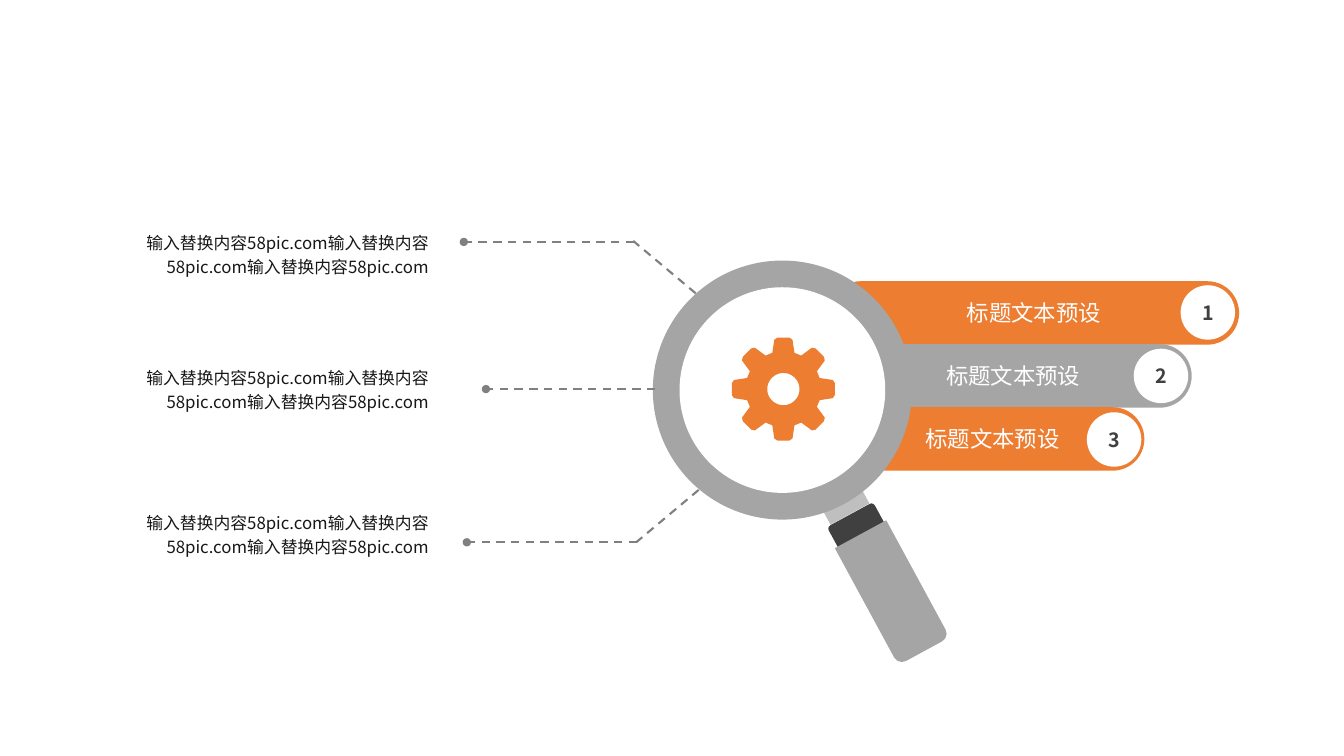
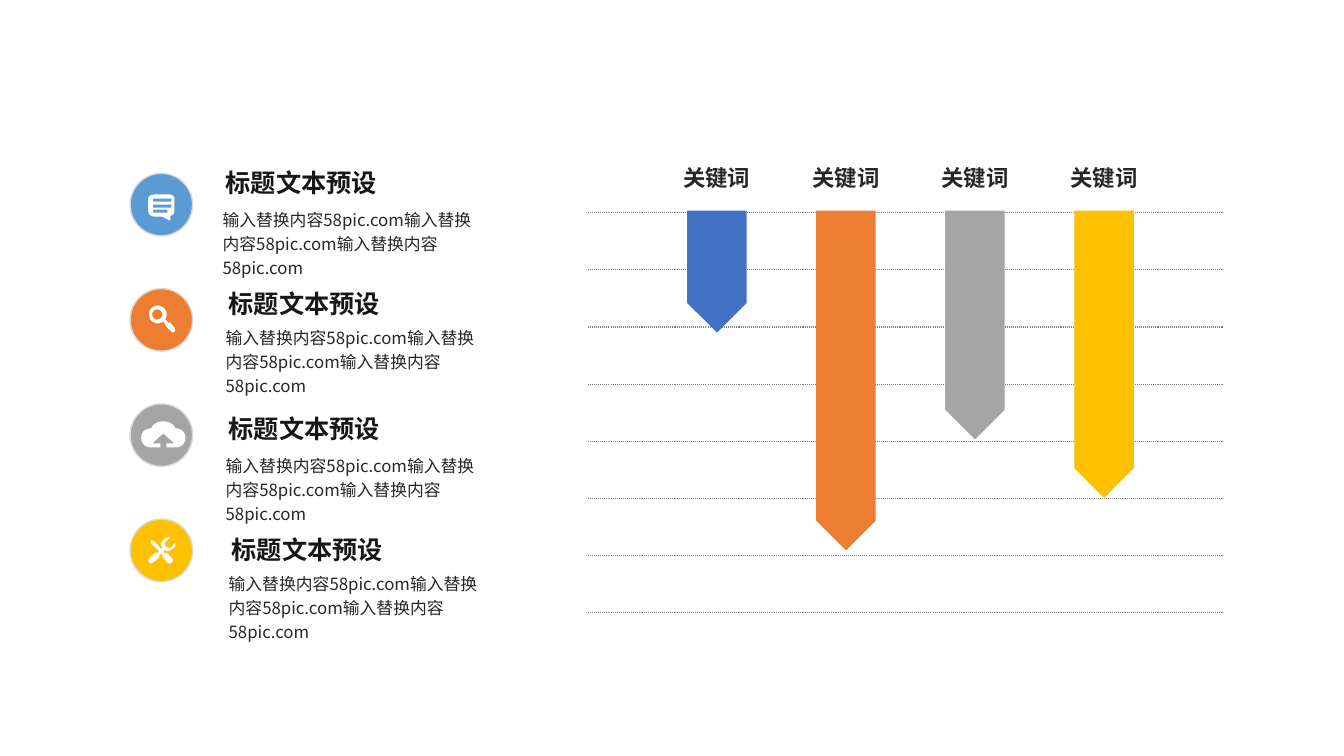
from math import cos, pi, sin

from lxml import etree
from pptx import Presentation
from pptx.dml.color import RGBColor
from pptx.enum import dml, shapes, text
from pptx.oxml.ns import qn
from pptx.util import Inches, Pt

FONT = "Noto Sans CJK SC"
ORANGE, GRAY, YELLOW, BLUE, SKY = "ED7D31", "A5A5A5", "FFC000", "4472C4", "5B9BD5"
WHITE, RULE, CHARCOAL, INK, BODY = "FFFFFF", "808080", "404040", "181717", "262626"
SHAPE = shapes.MSO_SHAPE
RIGHT, CENTER = text.PP_ALIGN.RIGHT, text.PP_ALIGN.CENTER

HEADING = "标题文本预设"
KEYWORD = "关键词"
FILLER = "输入替换内容58pic.com" * 3

TAB_COLORS = [ORANGE, GRAY, ORANGE]
NOTE_TOPS = [2.22, 3.56, 5]
LENS_CENTER = (7.76, 3.87)
LENS_DISCS = [(2.57, GRAY), (2.04, WHITE)]
HANDLE_TURN = 331.5
COLLAR = (SHAPE.RECTANGLE, (8.17, 4.94, 0.44, 0.17), "BFBFBF", ())
GRIP_PARTS = [
    (SHAPE.ROUND_2_SAME_RECTANGLE, (8.23, 5.09, 0.52, 0.25), CHARCOAL, (0.15, 0)),
    (SHAPE.ROUND_2_SAME_RECTANGLE, (8.56, 5.22, 0.58, 1.32), GRAY, (0, 0.15)),
]
LEADERS = [
    ((6.9, 2.91), (6.28, 2.39), None),
    ((6.29, 2.4), (4.6, 2.4), "oval"),
    ((6.5, 3.86), (4.82, 3.86), "oval"),
    ((6.93, 4.86), (6.31, 5.38), None),
    ((6.32, 5.38), (4.63, 5.38), "oval"),
]
GEAR_CENTER = (7.77, 3.86)
GEAR_TOOTH = [(-0.11, -0.36), (-0.09, -0.49), (-0.06, -0.51),
              (0.06, -0.51), (0.09, -0.49), (0.11, -0.36)]

ARROWS = [(BLUE, 1.21), (ORANGE, 3.37), (GRAY, 2.27), (YELLOW, 2.85)]


def circle(cx, cy, radius, steps=48):
    return [(cx + radius * cos(2 * pi * k / steps), cy + radius * sin(2 * pi * k / steps))
            for k in range(steps)]


def box(left, top, right, bottom):
    return [(left, top), (right, top), (right, bottom), (left, bottom)]


CHAT = [
    [(1.68, 1.93), (1.53, 1.93), (1.5, 1.93, 1.47, 1.95, 1.47, 1.97), (1.47, 2.1),
     (1.47, 2.12, 1.5, 2.15, 1.53, 2.15), (1.61, 2.15), (1.69, 2.19), (1.69, 2.14),
     (1.71, 2.14, 1.73, 2.12, 1.73, 2.1), (1.73, 1.97), (1.73, 1.95, 1.71, 1.93, 1.68, 1.93)],
    box(1.52, 1.97, 1.7, 2), box(1.52, 2.03, 1.7, 2.06), box(1.52, 2.08, 1.66, 2.11),
]
SEARCH = [
    [(1.73, 3.25), (1.69, 3.2), (1.67, 3.2), (1.64, 3.17),
     (1.66, 3.13, 1.66, 3.09, 1.63, 3.06), (1.59, 3.02, 1.54, 3.02, 1.5, 3.06),
     (1.47, 3.09, 1.47, 3.15, 1.5, 3.18), (1.53, 3.21, 1.58, 3.22, 1.62, 3.19),
     (1.64, 3.22), (1.65, 3.24), (1.7, 3.29), (1.71, 3.3, 1.72, 3.3, 1.73, 3.29),
     (1.74, 3.28, 1.74, 3.26, 1.73, 3.25)],
    circle(1.56, 3.12, 0.05),
]
UPLOAD = [
    [(1.74, 4.25), (1.72, 4.2, 1.67, 4.18, 1.62, 4.18), (1.57, 4.18, 1.52, 4.2, 1.5, 4.25),
     (1.44, 4.25, 1.4, 4.29, 1.4, 4.34), (1.4, 4.4, 1.44, 4.44, 1.5, 4.44), (1.59, 4.44),
     (1.59, 4.4), (1.51, 4.4), (1.62, 4.3), (1.73, 4.4), (1.65, 4.4), (1.65, 4.44),
     (1.74, 4.44), (1.8, 4.44, 1.84, 4.4, 1.84, 4.34), (1.84, 4.29, 1.8, 4.25, 1.74, 4.25)],
]
TOOLS = [
    [(1.64, 5.46), (1.65, 5.47, 1.68, 5.47, 1.69, 5.46), (1.73, 5.43),
     (1.74, 5.42, 1.74, 5.4, 1.74, 5.39), (1.73, 5.39), (1.7, 5.43),
     (1.68, 5.44, 1.66, 5.44, 1.65, 5.42), (1.63, 5.41, 1.63, 5.38, 1.65, 5.37),
     (1.68, 5.34), (1.69, 5.33), (1.67, 5.33, 1.65, 5.33, 1.64, 5.34), (1.61, 5.37),
     (1.59, 5.38, 1.59, 5.41, 1.61, 5.43), (1.6, 5.45), (1.53, 5.37), (1.5, 5.36),
     (1.5, 5.39), (1.58, 5.47), (1.56, 5.49), (1.55, 5.48, 1.54, 5.48, 1.53, 5.49),
     (1.48, 5.54), (1.47, 5.55, 1.47, 5.57, 1.48, 5.58),
     (1.49, 5.59, 1.51, 5.59, 1.52, 5.58), (1.57, 5.54),
     (1.58, 5.53, 1.58, 5.52, 1.58, 5.51), (1.6, 5.49), (1.61, 5.51),
     (1.61, 5.52, 1.61, 5.53, 1.62, 5.53), (1.66, 5.58),
     (1.67, 5.59, 1.69, 5.6, 1.7, 5.58), (1.72, 5.57, 1.72, 5.55, 1.71, 5.54),
     (1.66, 5.49), (1.65, 5.49, 1.64, 5.48, 1.63, 5.49), (1.62, 5.47), (1.63, 5.46)],
]
TOPICS = [
    (SKY, CHAT, 2.11, 1.61, 1.99),
    (ORANGE, SEARCH, 2.14, 2.81, 3.16),
    (GRAY, UPLOAD, 2.14, 4.05, 4.43),
    (YELLOW, TOOLS, 2.17, 5.25, 5.6),
]


def rgb(value):
    return RGBColor.from_string(value)


def write(frame, words, size=12, color=BODY, bold=False, align=None, spacing=None,
          wrap=True, anchor=text.MSO_ANCHOR.TOP):
    frame.word_wrap = wrap
    frame.vertical_anchor = anchor
    line = frame.paragraphs[0]
    line.alignment = align
    line.line_spacing = spacing
    run = line.add_run()
    run.text = words
    run.font.size = Pt(size)
    run.font.bold = bold
    run.font.color.rgb = rgb(color)
    run.font.name = FONT
    etree.SubElement(run.font._element, qn("a:ea"), typeface=FONT)


def add_text(slide, area, words, **style):
    write(slide.shapes.add_textbox(*map(Inches, area)).text_frame, words, **style)


def paint(shape, fill, outline=None):
    shape.shadow.inherit = False
    shape.fill.solid()
    shape.fill.fore_color.rgb = rgb(fill)
    if outline:
        shape.line.color.rgb = rgb(outline)
        shape.line.width = Pt(1)
    else:
        shape.line.fill.background()


def add_preset(slide, kind, area, fill, outline=None, turn=0, adjust=(), words="", **style):
    shape = slide.shapes.add_shape(kind, *map(Inches, area))
    paint(shape, fill, outline)
    shape.rotation = turn
    for index, value in enumerate(adjust):
        shape.adjustments[index] = value
    if words:
        write(shape.text_frame, words, align=CENTER, wrap=False,
              anchor=text.MSO_ANCHOR.MIDDLE, **style)


def add_line(slide, start, end, width, dash, tail=None):
    line = slide.shapes.add_connector(shapes.MSO_CONNECTOR.STRAIGHT,
                                      *map(Inches, start + end))
    line.line.color.rgb = rgb(RULE)
    line.line.width = Pt(width)
    line.line.dash_style = dash
    if tail:
        etree.SubElement(line.line._get_or_add_ln(), qn("a:tailEnd"), type=tail)
    etree.SubElement(line._element.spPr, qn("a:effectLst"))


def flatten(contour, steps=6):
    points = []
    for step in contour:
        if len(step) == 2:
            points.append(step)
            continue
        x0, y0 = points[-1]
        x1, y1, x2, y2, x3, y3 = step
        for k in range(1, steps + 1):
            t = k / steps
            a, b, c, d = (1 - t) ** 3, 3 * t * (1 - t) ** 2, 3 * t * t * (1 - t), t ** 3
            points.append((a * x0 + b * x1 + c * x2 + d * x3,
                           a * y0 + b * y1 + c * y2 + d * y3))
    return [(Inches(x), Inches(y)) for x, y in points]


def add_outline(slide, contours, fill):
    first, *holes = map(flatten, contours)
    builder = slide.shapes.build_freeform(*first[0])
    builder.add_line_segments(first[1:], close=True)
    for hole in holes:
        builder.move_to(*hole[0])
        builder.add_line_segments(hole[1:], close=True)
    paint(builder.convert_to_shape(), fill)


def gear():
    cx, cy = GEAR_CENTER
    teeth = []
    for k in range(8):
        c, s = cos(k * pi / 4), sin(k * pi / 4)
        teeth += [(cx + x * c - y * s, cy + x * s + y * c) for x, y in GEAR_TOOTH]
    return [teeth, circle(cx, cy, 0.16)]


def add_handle_part(slide, part):
    kind, area, fill, adjust = part
    add_preset(slide, kind, area, fill, turn=HANDLE_TURN, adjust=adjust)


def build_magnifier(slide):
    for i, color in enumerate(TAB_COLORS):
        add_preset(slide, SHAPE.ROUNDED_RECTANGLE,
                   (8.22 + 0.06 * i, 2.79 + 0.625 * i, 4.07 - 0.53 * i, 0.63), color,
                   adjust=(0.5,), words=HEADING, size=16, color=WHITE)
    add_handle_part(slide, COLLAR)
    cx, cy = LENS_CENTER
    for size, color in LENS_DISCS:
        add_preset(slide, SHAPE.OVAL, (cx - size / 2, cy - size / 2, size, size), color)
    for part in GRIP_PARTS:
        add_handle_part(slide, part)
    for i in range(len(TAB_COLORS)):
        add_preset(slide, SHAPE.OVAL, (11.71 - 0.465 * i, 2.83 + 0.63 * i, 0.54, 0.54),
                   WHITE, words=str(i + 1), size=14, color=CHARCOAL, bold=True)
    for start, end, tail in LEADERS:
        add_line(slide, start, end, 1.5, dml.MSO_LINE.DASH, tail)
    add_outline(slide, gear(), ORANGE)
    for top in NOTE_TOPS:
        add_text(slide, (0.81, top, 3.54, 0.61), FILLER, color=INK, align=RIGHT, spacing=1.2)


def build_arrows(slide):
    for i in range(8):
        y = 2.11 + 3.97 / 7 * i
        add_line(slide, (5.83, y), (12.13, y), 0.75, dml.MSO_LINE.ROUND_DOT)
    for i, (color, length) in enumerate(ARROWS):
        center = 7.11 + 1.28 * i
        add_preset(slide, SHAPE.PENTAGON,
                   (center - length / 2, 2.09 + length / 2 - 0.295, length, 0.59),
                   color, turn=90)
        add_text(slide, (center - 0.675, 1.58, 1.35, 0.37), KEYWORD,
                 size=16, bold=True, align=CENTER)
    for i, (color, icon, left, heading_top, body_top) in enumerate(TOPICS):
        add_preset(slide, SHAPE.OVAL, (1.29, 1.72 + 3.43 / 3 * i, 0.62, 0.62), color, "D9D9D9")
        add_outline(slide, icon, WHITE)
        add_text(slide, (left, body_top, 2.77, 0.61), FILLER, spacing=1.2)
        add_text(slide, (left + 0.03, heading_top, 2, 0.38), HEADING,
                 size=18, color=INK, bold=True)


def main():
    deck = Presentation()
    deck.slide_width, deck.slide_height = Inches(13.33), Inches(7.5)
    for build in (build_magnifier, build_arrows):
        build(deck.slides.add_slide(deck.slide_layouts[6]))
    deck.save("out.pptx")


if __name__ == "__main__":
    main()
